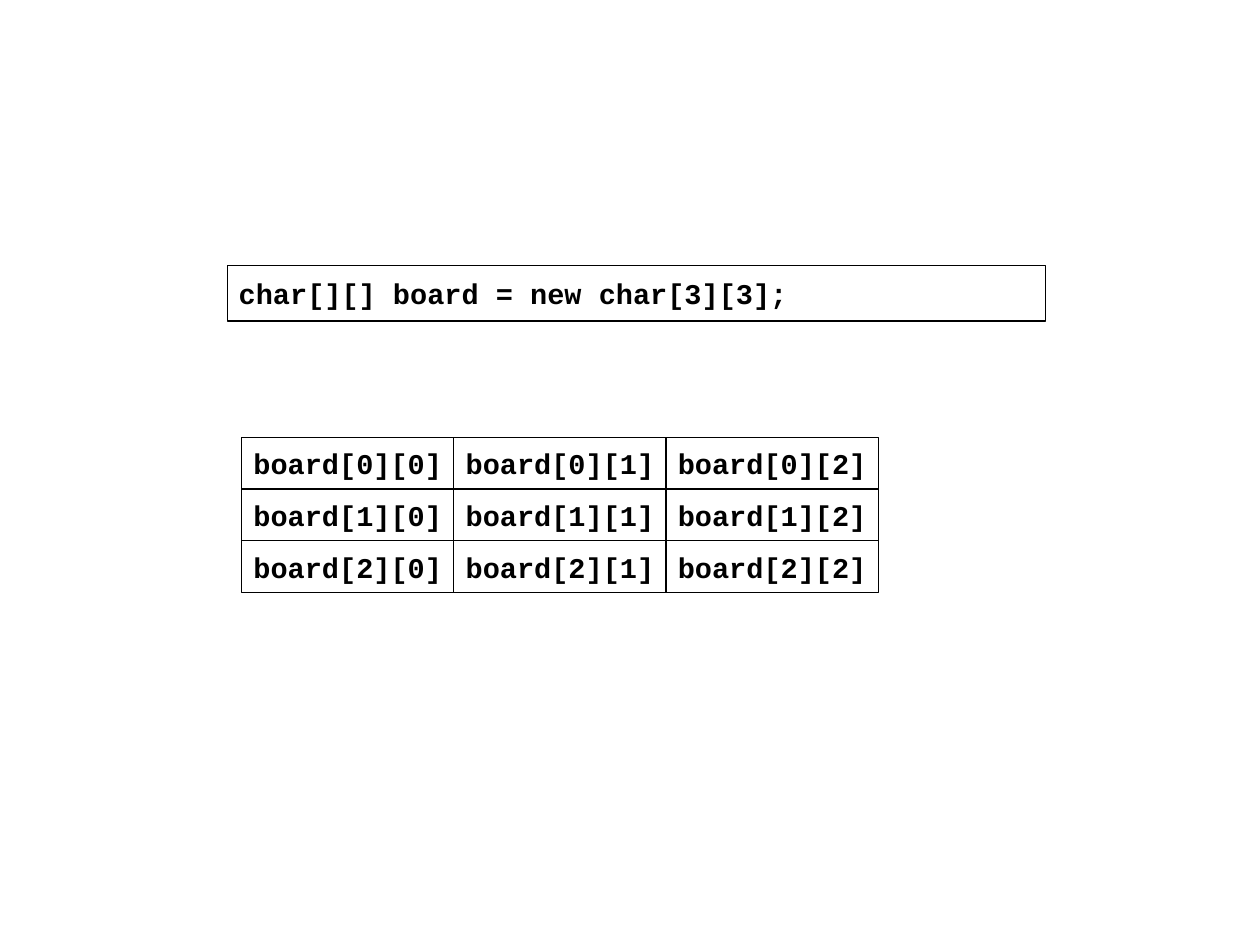
import dataclasses
import pptx
import pptx.dml.color
import pptx.enum.shapes
import pptx.enum.text
import pptx.util

Pt = pptx.util.Pt
Align = pptx.enum.text.PP_ALIGN


@dataclasses.dataclass(frozen=True)
class Theme:
    ink: pptx.dml.color.RGBColor = pptx.dml.color.RGBColor(0, 0, 0)
    paper: pptx.dml.color.RGBColor = pptx.dml.color.RGBColor(255, 255, 255)
    font: str = "Courier New"
    code_size: float = 18
    line_width: float = 0.75


@dataclasses.dataclass(frozen=True)
class Box:
    left: float
    top: float
    width: float
    height: float


THEME = Theme()
BOARD_SIZE = 3


def add_code_box(shapes, box, code, alignment):
    frame = shapes.add_shape(
        pptx.enum.shapes.MSO_SHAPE.RECTANGLE,
        Pt(box.left), Pt(box.top), Pt(box.width), Pt(box.height),
    )
    frame.shadow.inherit = False
    frame.fill.solid()
    frame.fill.fore_color.rgb = THEME.paper
    frame.line.color.rgb = THEME.ink
    frame.line.width = Pt(THEME.line_width)
    text = frame.text_frame
    text.word_wrap = False
    text.vertical_anchor = pptx.enum.text.MSO_ANCHOR.MIDDLE
    para = text.paragraphs[0]
    para.alignment = alignment
    span = para.add_run()
    span.text = code
    span.font.name = THEME.font
    span.font.size = Pt(THEME.code_size)
    span.font.bold = True
    span.font.color.rgb = THEME.ink


def add_declaration(page, box):
    code = f"char[][] board = new char[{BOARD_SIZE}][{BOARD_SIZE}];"
    add_code_box(page.shapes, box, code, Align.LEFT)


def add_board(page, box):
    width = box.width / BOARD_SIZE
    height = box.height / BOARD_SIZE
    for row in range(BOARD_SIZE):
        row_group = page.shapes.add_group_shape()
        for column in range(BOARD_SIZE):
            cell = Box(box.left + column * width, box.top + row * height, width, height)
            add_code_box(row_group.shapes, cell, f"board[{row}][{column}]", Align.CENTER)


def main():
    deck = pptx.Presentation()
    deck.slide_width = Pt(793.7)
    deck.slide_height = Pt(595.28)
    page = deck.slides.add_slide(deck.slide_layouts[6])
    add_declaration(page, Box(143.3, 167.4, 515.5, 34.8))
    add_board(page, Box(152.2, 275.5, 401, 97.8))
    deck.save("out.pptx")


if __name__ == "__main__":
    main()
